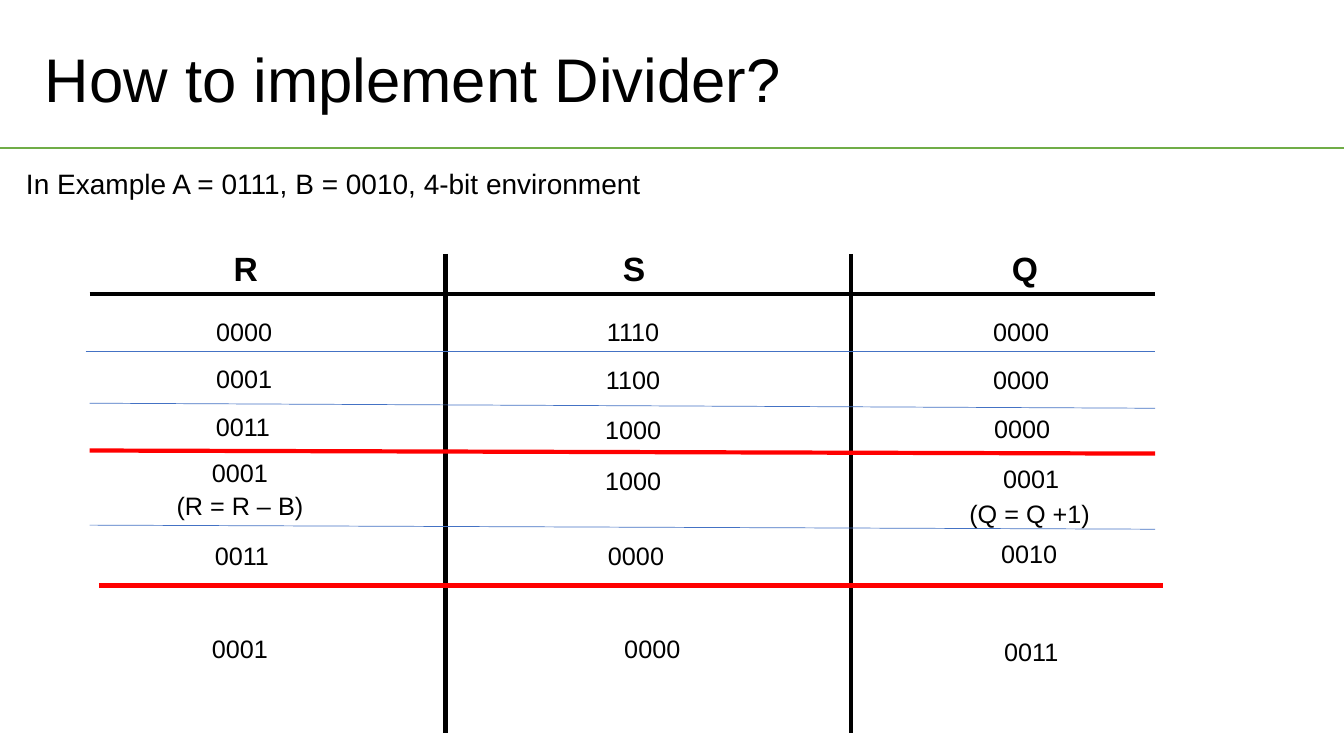
from lxml import etree
from pptx import Presentation, util as u
from pptx.dml import color
from pptx.enum import shapes, text
from pptx.oxml import ns

INK = {"text": "000000", "rule": "70AD47", "step": "4472C4", "mark": "FF0000"}

COLS = [
    ("R", 159.8, [(128.2, 222.5, "0000"), (128.2, 256.3, "0001"),
                  (127.4, 290.2, "0011"), (125.3, 323.3, "0001"),
                  (126.7, 382.3, "0011"), (125.3, 448.6, "0001")]),
    ("S", 437.8, [(406.1, 222.5, "1110"), (406.1, 257, "1100"),
                  (406.1, 292.3, "1000"), (406.1, 329, "1000"),
                  (408.2, 382.3, "0000"), (419.8, 448.6, "0000")]),
    ("Q", 715.7, [(683.3, 222.5, "0000"), (683.3, 257, "0000"),
                  (684, 291.6, "0000"), (690.5, 327.6, "0001"),
                  (689, 380.9, "0010"), (690.5, 450.7, "0011")]),
]
NOTES = [(96.5, 347, 149.8, "(R = R – B)"), (649.4, 352.1, 172.1, "(Q = Q +1)")]
BARS = [318.2, 607.7]
ROWS = [
    (64.1, 210.2, 825.1, 210.2, "text", 3),
    (61.2, 251.3, 825.1, 251.3, "step", 0.5),
    (64.1, 288, 825.1, 291.6, "step", 0.5),
    (64.1, 321.8, 825.1, 324, "mark", 3),
    (64.1, 375.1, 825.1, 378, "step", 0.5),
    (70.6, 418.3, 830.9, 418.3, "mark", 3),
]


class Board:
    """Hold the style and the slide, and draw text and lines in points."""

    def __init__(self, slide):
        self.slide = slide
        self.font = "Arial"

    def text(self, words, x, y, w, h, size=18, bold=False, mid=True,
             wrap=True, grow=True, lead=None):
        box = self.slide.shapes.add_textbox(u.Pt(x), u.Pt(y), u.Pt(w), u.Pt(h))
        frame = box.text_frame
        frame.word_wrap = wrap
        fit = text.MSO_AUTO_SIZE
        frame.auto_size = fit.SHAPE_TO_FIT_TEXT if grow else fit.NONE
        par = frame.paragraphs[0]
        par.alignment = text.PP_ALIGN.CENTER if mid else text.PP_ALIGN.LEFT
        if lead:
            par.line_spacing = lead
        run = par.add_run()
        run.text = words
        run.font.name = self.font
        run.font.size = u.Pt(size)
        run.font.bold = bold
        run.font.color.rgb = color.RGBColor.from_string(INK["text"])

    def line(self, x, y, end, foot, ink, width):
        link = self.slide.shapes.add_connector(
            shapes.MSO_CONNECTOR.STRAIGHT,
            u.Pt(x), u.Pt(y), u.Pt(end), u.Pt(foot))
        link.line.color.rgb = color.RGBColor.from_string(INK[ink])
        link.line.width = u.Pt(width)
        etree.SubElement(link._element.spPr, ns.qn("a:effectLst"))


def main():
    deck = Presentation()
    deck.slide_width, deck.slide_height = u.Pt(960), u.Pt(540)
    board = Board(deck.slides.add_slide(deck.slide_layouts[6]))

    board.text("How to implement Divider?", 0, 31.7, 590.4, 73.4,
               size=44, grow=False, lead=0.9)
    board.text("In Example A = 0111, B = 0010, 4-bit environment",
               11.5, 115.2, 456.5, 31.7, size=20, mid=False, wrap=False)
    board.line(0, 105.8, 960, 105.8, "rule", 1)

    for x in BARS:
        board.line(x, 181.4, x, 523.4, "text", 3)
    for row in ROWS:
        board.line(*row)

    for head, left, cells in COLS:
        board.text(head, left, 173.5, 28.1, 36, size=24, bold=True, mid=False)
        for x, y, bits in cells:
            board.text(bits, x, y, 92.2, 28.8)
    for x, y, w, note in NOTES:
        board.text(note, x, y, w, 28.8)

    deck.save("out.pptx")


if __name__ == "__main__":
    main()
